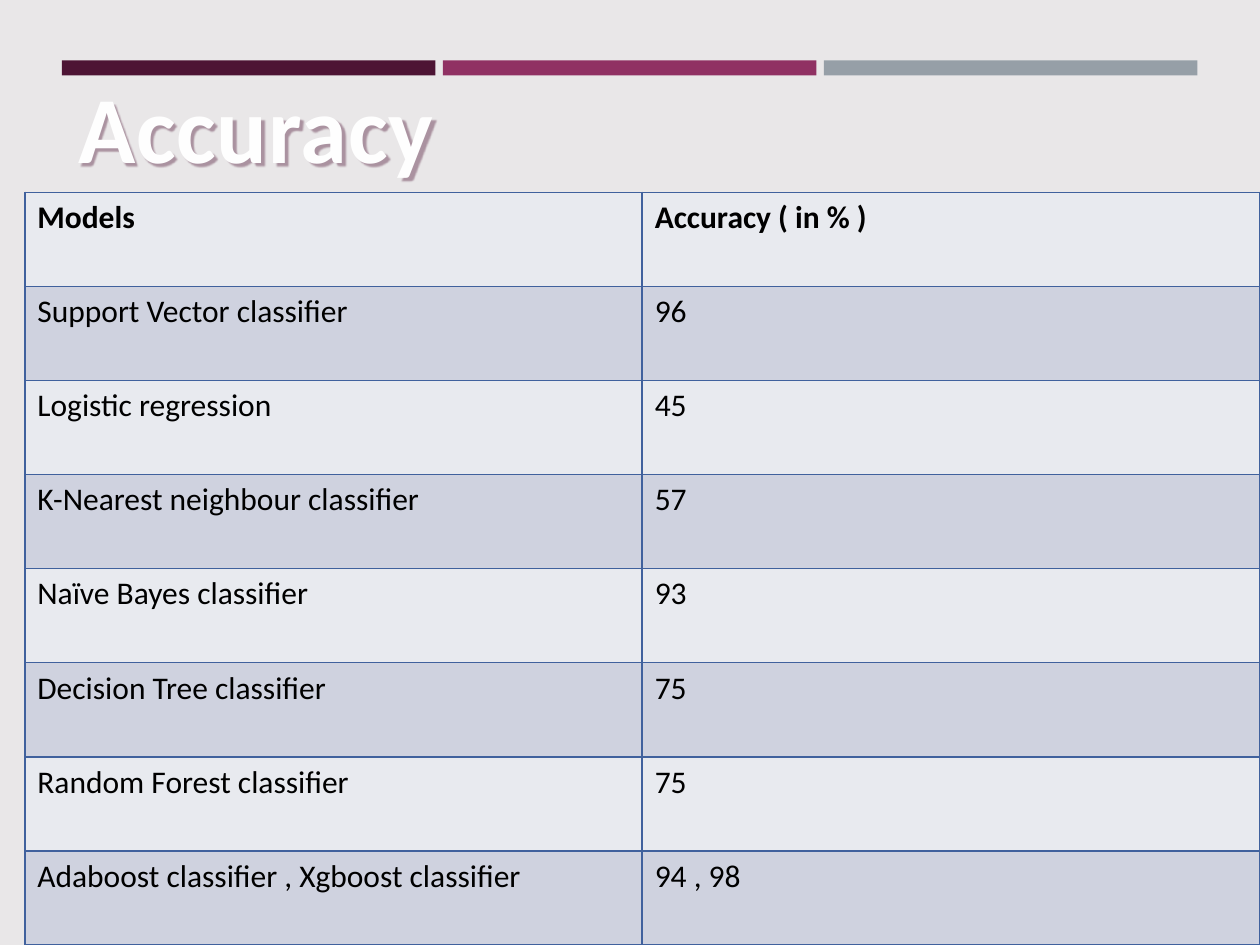
import pptx
import pptx.dml.color
import pptx.enum.shapes
import pptx.enum.text
import pptx.oxml
import pptx.oxml.ns
import pptx.util

Cm, Pt = pptx.util.Cm, pptx.util.Pt

TITLE = "Accuracy"
ROWS = [
    ("Models", "Accuracy ( in % )"),
    ("Support Vector classifier", "96"),
    ("Logistic regression", "45"),
    ("K-Nearest neighbour classifier", "57"),
    ("Naïve Bayes classifier", "93"),
    ("Decision Tree classifier", "75"),
    ("Random Forest classifier", "75"),
    ("Adaboost classifier , Xgboost classifier", "94 , 98"),
]
COLORS = {
    "background": "E9E7E8", "plum": "4D1434", "magenta": "903163",
    "grey": "969FA7", "title": "FEFEFE", "text": "000000",
    "light": "E8EAEF", "dark": "CFD2DF", "border": "40619D",
}
FONT = "Calibri"
NS = pptx.oxml.ns.nsdecls("a")


def rgb(name):
    return pptx.dml.color.RGBColor.from_string(COLORS[name])


def paint(fill, name):
    fill.solid()
    fill.fore_color.rgb = rgb(name)


def line_xml(tag, name, points):
    return pptx.oxml.parse_xml(
        f'<a:{tag} {NS} w="{int(Pt(points))}"><a:solidFill>'
        f'<a:srgbClr val="{COLORS[name]}"/></a:solidFill></a:{tag}>')


def write(frame, text, size=18, color="text", bold=False, align=None):
    paragraph = frame.paragraphs[0]
    paragraph.alignment = align
    run = paragraph.add_run()
    run.text = text
    run.font.name, run.font.size, run.font.bold = FONT, Pt(size), bold
    run.font.color.rgb = rgb(color)
    return run


deck = pptx.Presentation()
deck.slide_width, deck.slide_height = Cm(25.4), Cm(19.05)
slide = deck.slides.add_slide(deck.slide_layouts[5])
paint(slide.background.fill, "background")

# Three bars across the top
BAR_LEFT, BAR_TOP, BAR_WIDTH, BAR_HEIGHT, BAR_GAP = 1.25, 1.22, 7.53, 0.3, 0.15
for i, color in enumerate(("plum", "magenta", "grey")):
    bar = slide.shapes.add_shape(
        pptx.enum.shapes.MSO_SHAPE.RECTANGLE,
        Cm(BAR_LEFT + i * (BAR_WIDTH + BAR_GAP)), Cm(BAR_TOP),
        Cm(BAR_WIDTH), Cm(BAR_HEIGHT))
    bar.shadow.inherit = False
    paint(bar.fill, color)
    bar.line.fill.background()

# Title with outlined letters and a soft shadow
title = slide.shapes.title
title.left, title.top, title.width, title.height = Cm(0.5), Cm(1.27), Cm(9.32), Cm(2.57)
title.fill.background()
title.text_frame.word_wrap = False
title.text_frame.auto_size = pptx.enum.text.MSO_AUTO_SIZE.SHAPE_TO_FIT_TEXT
title.text_frame.vertical_anchor = pptx.enum.text.MSO_ANCHOR.TOP
heading = write(title.text_frame, TITLE, size=54, color="title", bold=True,
                align=pptx.enum.text.PP_ALIGN.CENTER)
heading_format = heading.font._element
heading_format.set("spc", "50")
heading_format.insert(0, line_xml("ln", "plum", 0.75))
title._element.spPr.append(pptx.oxml.parse_xml(
    f'<a:effectLst {NS}><a:outerShdw blurRad="{int(Pt(1))}" dist="{int(Pt(2))}" '
    f'dir="2700000" algn="tl" rotWithShape="0"><a:srgbClr val="{COLORS["plum"]}">'
    '<a:alpha val="40000"/></a:srgbClr></a:outerShdw></a:effectLst>'))

# Accuracy table
TABLE_WIDTH, TABLE_HEIGHT = 24.89, 15.17
scores = slide.shapes.add_table(
    len(ROWS), len(ROWS[0]), Cm(0.5), Cm(3.88), Cm(TABLE_WIDTH), Cm(TABLE_HEIGHT)).table
for r, row in enumerate(ROWS):
    for c, text in enumerate(row):
        cell = scores.cell(r, c)
        write(cell.text_frame, text, bold=r == 0)
        paint(cell.fill, "dark" if r % 2 else "light")
        cell_format = cell._tc.get_or_add_tcPr()
        for i, side in enumerate(("lnL", "lnR", "lnT", "lnB")):
            cell_format.insert(i, line_xml(side, "border", 1))

deck.save("out.pptx")
